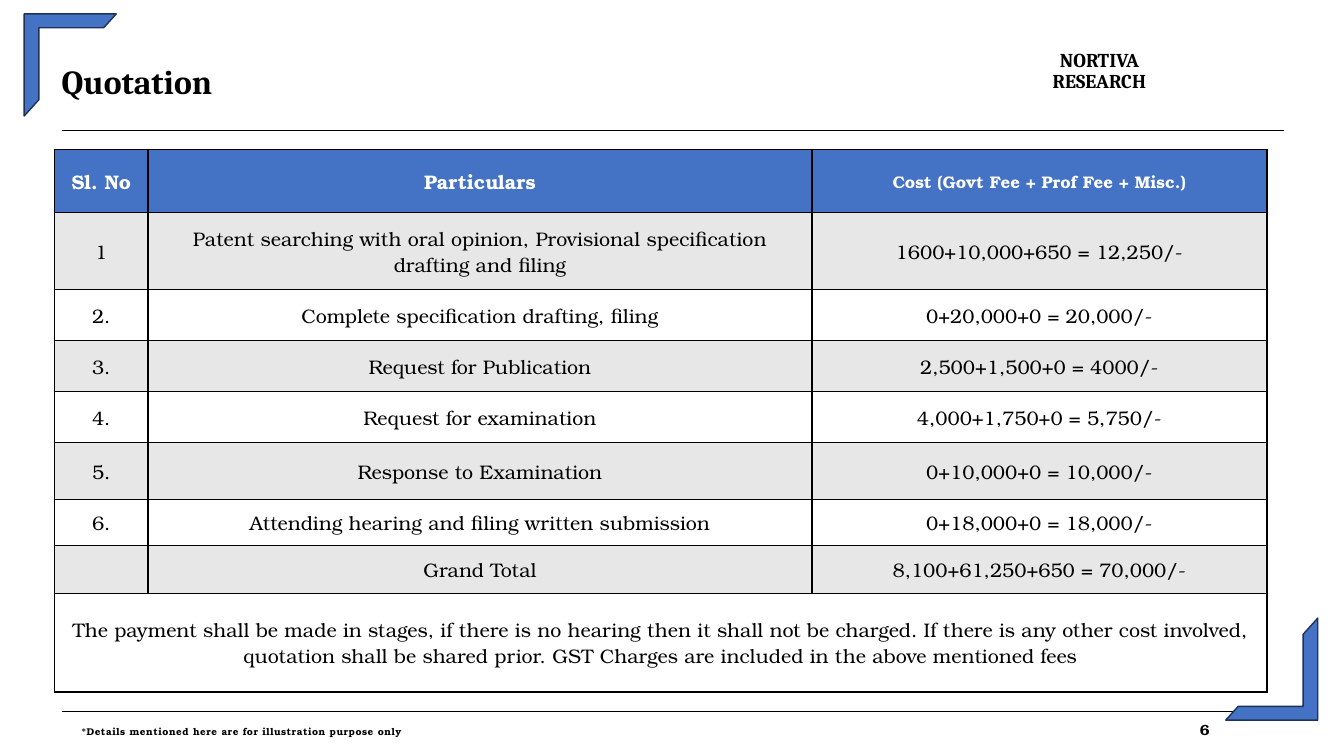
from dataclasses import dataclass

from lxml import etree
from pptx import Presentation
from pptx.dml.color import RGBColor
from pptx.enum.shapes import MSO_CONNECTOR, MSO_SHAPE
from pptx.enum.text import MSO_ANCHOR, MSO_AUTO_SIZE, PP_ALIGN
from pptx.oxml.ns import qn
from pptx.util import Emu, Inches, Pt

BLACK = RGBColor(0x00, 0x00, 0x00)
WHITE = RGBColor(0xFF, 0xFF, 0xFF)
BLUE = RGBColor(0x44, 0x72, 0xC4)
NAVY = RGBColor(0x1E, 0x32, 0x56)
GREY = RGBColor(0xE7, 0xE7, 0xE7)

LEFT, CENTER = PP_ALIGN.LEFT, PP_ALIGN.CENTER
MIDDLE = MSO_ANCHOR.MIDDLE
NO_AUTOFIT = MSO_AUTO_SIZE.NONE
STRAIGHT = MSO_CONNECTOR.STRAIGHT
HALF_FRAME = MSO_SHAPE.HALF_FRAME

HEADING_FONT = "Cambria"
BODY_FONT = "TeX Gyre Bonum"
SLIDE_WIDTH, SLIDE_HEIGHT = Inches(13.33), Inches(7.5)
TITLE_ONLY = 5


@dataclass(frozen=True)
class Area:
    """A rectangle in percent of the slide's width and height."""
    left: float
    top: float
    width: float
    height: float

    def emu(self) -> tuple[Emu, Emu, Emu, Emu]:
        return across(self.left), down(self.top), across(self.width), down(self.height)


@dataclass(frozen=True)
class Style:
    font: str
    size: float
    color: RGBColor = BLACK
    bold: bool = False
    spacing: float = 0


@dataclass(frozen=True)
class Corner:
    area: Area
    rotation: int


@dataclass(frozen=True)
class QuoteRow:
    height: float
    cells: tuple[str, ...]


TITLE_STYLE = Style(HEADING_FONT, 24, bold=True)
FIRM_STYLE = Style(HEADING_FONT, 14, bold=True)
HEADER_STYLE = Style(BODY_FONT, 14, WHITE, bold=True)
COST_HEADER_STYLE = Style(BODY_FONT, 12, WHITE, bold=True)
CELL_STYLE = Style(BODY_FONT, 14)
NOTE_STYLE = Style(BODY_FONT, 7, bold=True, spacing=0.4)
PAGE_NUMBER_STYLE = Style(BODY_FONT, 10.5, bold=True, spacing=0.4)

TITLE_AREA = Area(4.58, 7.4, 60, 6.7)
FIRM_AREA = Area(77.3, 6.6, 9, 5.8)
FOOTER_AREA = Area(6.08, 95, 89.4, 3)
PAGE_NUMBER_TAB = 83.2
RULE_LEFT, RULE_RIGHT = 4.58, 95.5
RULE_HEIGHTS = (17.3, 94.1)
CORNERS = (
    Corner(Area(1.8, 1.85, 6.85, 13.5), 0),
    Corner(Area(91.2, 81.75, 6.85, 13.5), 180),
)

TABLE_LEFT, TABLE_TOP = 4.05, 19.75
COLUMN_WIDTHS = (6.97, 49.4, 33.85)
QUOTE = (
    QuoteRow(8.4, ("Sl. No", "Particulars", "Cost (Govt Fee + Prof Fee + Misc.)")),
    QuoteRow(10.2, ("1", "Patent searching with oral opinion, Provisional specification "
                    "drafting and filing", "1600+10,000+650 = 12,250/-")),
    QuoteRow(6.75, ("2.", "Complete specification drafting, filing", "0+20,000+0 = 20,000/-")),
    QuoteRow(6.75, ("3.", "Request for Publication", "2,500+1,500+0 = 4000/-")),
    QuoteRow(6.75, ("4.", "Request for examination", "4,000+1,750+0 = 5,750/-")),
    QuoteRow(7.5, ("5.", "Response to Examination", "0+10,000+0 = 10,000/-")),
    QuoteRow(6.1, ("6.", "Attending hearing and filing written submission",
                   "0+18,000+0 = 18,000/-")),
    QuoteRow(6.3, ("", "Grand Total", "8,100+61,250+650 = 70,000/-")),
    QuoteRow(13.05, ("The payment shall be made in stages, if there is no hearing then it "
                     "shall not be charged. If there is any other cost involved, quotation "
                     "shall be shared prior. GST Charges are included in the above "
                     "mentioned fees",)),
)


def across(percent: float) -> Emu:
    return Emu(round(SLIDE_WIDTH * percent / 100))


def down(percent: float) -> Emu:
    return Emu(round(SLIDE_HEIGHT * percent / 100))


def add_span(para, text: str, style: Style) -> None:
    span = para.add_run()
    span.text = text
    span.font.name = style.font
    span.font.size = Pt(style.size)
    span.font.bold = style.bold
    span.font.color.rgb = style.color
    if style.spacing:
        span.font._element.set("spc", str(round(style.spacing * 100)))


def prepare_frame(box, align: PP_ALIGN):
    """Remove the insets of a box and return its first paragraph."""
    frame = box.text_frame
    frame.word_wrap = True
    frame.auto_size = NO_AUTOFIT
    frame.vertical_anchor = MIDDLE
    frame.margin_left = frame.margin_right = frame.margin_top = frame.margin_bottom = 0
    para = frame.paragraphs[0]
    para.alignment = align
    return para


def set_title(page) -> None:
    title = page.shapes.title
    title.left, title.top, title.width, title.height = TITLE_AREA.emu()
    add_span(prepare_frame(title, LEFT), "Quotation", TITLE_STYLE)


def add_firm_name(page) -> None:
    para = prepare_frame(page.shapes.add_textbox(*FIRM_AREA.emu()), CENTER)
    para.line_spacing = 0.87
    add_span(para, "NORTIVA", FIRM_STYLE)
    para.add_line_break()
    add_span(para, "RESEARCH", FIRM_STYLE)


def add_rule(page, height: float) -> None:
    rule = page.shapes.add_connector(
        STRAIGHT, across(RULE_LEFT), down(height), across(RULE_RIGHT), down(height))
    rule.line.color.rgb = BLACK
    rule.line.width = Pt(0.5)
    etree.SubElement(rule._element.spPr, qn("a:effectLst"))


def add_corner(page, corner: Corner) -> None:
    frame = page.shapes.add_shape(HALF_FRAME, *corner.area.emu())
    frame.adjustments[0], frame.adjustments[1] = 0.15, 0.16
    frame.rotation = corner.rotation
    frame.shadow.inherit = False
    frame.fill.solid()
    frame.fill.fore_color.rgb = BLUE
    frame.line.color.rgb = NAVY
    frame.line.width = Pt(1)


def add_borders(cell) -> None:
    properties = cell._tc.get_or_add_tcPr()
    for position, side in enumerate(("a:lnL", "a:lnR", "a:lnT", "a:lnB")):
        line = etree.Element(qn(side), w=str(Pt(1)))
        fill = etree.SubElement(line, qn("a:solidFill"))
        etree.SubElement(fill, qn("a:srgbClr"), val=str(BLACK))
        properties.insert(position, line)


def add_quote_table(page) -> None:
    area = Area(TABLE_LEFT, TABLE_TOP, sum(COLUMN_WIDTHS), sum(row.height for row in QUOTE))
    table = page.shapes.add_table(len(QUOTE), len(COLUMN_WIDTHS), *area.emu()).table
    for column, width in zip(table.columns, COLUMN_WIDTHS):
        column.width = across(width)
    table.cell(len(QUOTE) - 1, 0).merge(table.cell(len(QUOTE) - 1, len(COLUMN_WIDTHS) - 1))
    for row_index, row in enumerate(QUOTE):
        table.rows[row_index].height = down(row.height)
        for column_index, cell in enumerate(table.rows[row_index].cells):
            cell.fill.solid()
            cell.fill.fore_color.rgb = (
                BLUE if row_index == 0 else GREY if row_index % 2 else WHITE)
            cell.vertical_anchor = MIDDLE
            cell.margin_left = cell.margin_right = across(0.9)
            add_borders(cell)
            if column_index < len(row.cells) and row.cells[column_index]:
                style = CELL_STYLE
                if row_index == 0:
                    style = COST_HEADER_STYLE if column_index == 2 else HEADER_STYLE
                para = cell.text_frame.paragraphs[0]
                para.alignment = CENTER
                add_span(para, row.cells[column_index], style)


def add_footer(page) -> None:
    para = prepare_frame(page.shapes.add_textbox(*FOOTER_AREA.emu()), LEFT)
    tabs = etree.SubElement(para._p.get_or_add_pPr(), qn("a:tabLst"))
    etree.SubElement(tabs, qn("a:tab"), pos=str(across(PAGE_NUMBER_TAB)), algn="l")
    add_span(para, "*Details mentioned here are for illustration purpose only\t", NOTE_STYLE)
    add_span(para, "6", PAGE_NUMBER_STYLE)


def main() -> None:
    deck = Presentation()
    deck.slide_width, deck.slide_height = SLIDE_WIDTH, SLIDE_HEIGHT
    page = deck.slides.add_slide(deck.slide_layouts[TITLE_ONLY])
    set_title(page)
    for height in RULE_HEIGHTS:
        add_rule(page, height)
    add_quote_table(page)
    add_firm_name(page)
    for corner in CORNERS:
        add_corner(page, corner)
    add_footer(page)
    deck.save("out.pptx")


if __name__ == "__main__":
    main()
